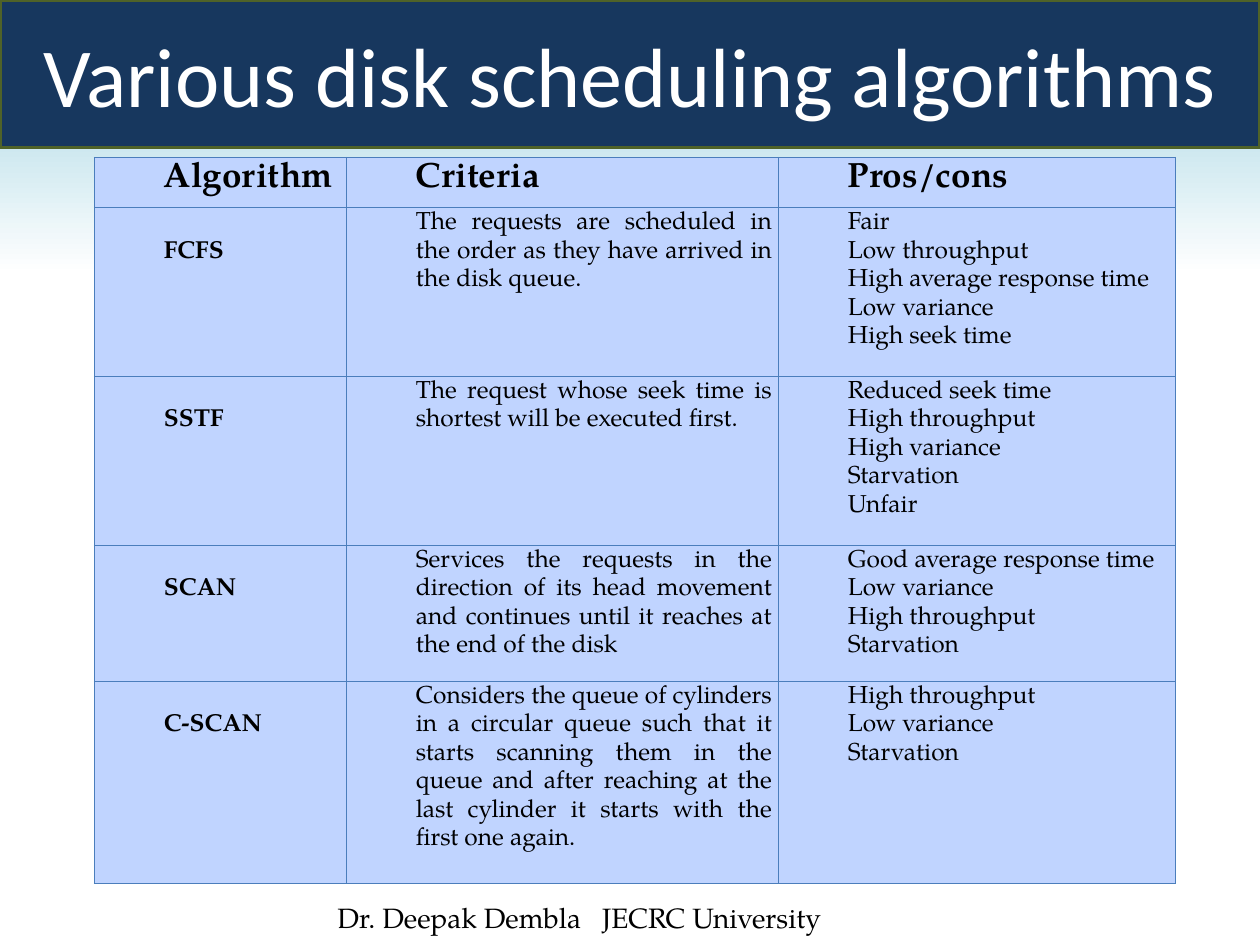
from dataclasses import dataclass

from lxml.etree import SubElement
from pptx import Presentation
from pptx.dml.color import RGBColor as RGB
from pptx.enum.text import MSO_ANCHOR as Anchor, PP_ALIGN as Align
from pptx.oxml import parse_xml
from pptx.oxml.ns import nsdecls, qn
from pptx.util import Inches, Pt


@dataclass(frozen=True)
class Theme:
    navy: RGB = RGB(0x17, 0x37, 0x5E)
    olive: RGB = RGB(0x4F, 0x62, 0x28)
    sky: RGB = RGB(0x93, 0xCD, 0xDD)
    cell: RGB = RGB(0xC0, 0xD4, 0xFF)
    white: RGB = RGB(255, 255, 255)
    black: RGB = RGB(0, 0, 0)
    rule: str = "4B7EBC"
    sans: str = "Calibri"
    serif: str = "TeX Gyre Pagella"
    title: int = 48
    head: int = 20
    body: int = 14
    foot: int = 16


THEME = Theme()
COLS = (2, 3.43, 3.15)
ROWS = (0.4, 1.34, 1.34, 1.08, 1.6)
HEADS = ("Algorithm", "Criteria", "Pros/cons")
DATA = (
    ("FCFS",
     "The requests are scheduled in the order as they have arrived in the disk queue.",
     "Fair\nLow throughput\nHigh average response time\nLow variance\nHigh seek time"),
    ("SSTF",
     "The request whose seek time is shortest will be executed first.",
     "Reduced seek time\nHigh throughput\nHigh variance\nStarvation\nUnfair"),
    ("SCAN",
     "Services the requests in the direction of its head movement and continues "
     "until it reaches at the end of the disk",
     "Good average response time\nLow variance\nHigh throughput\nStarvation"),
    ("C-SCAN",
     "Considers the queue of cylinders in a circular queue such that it starts "
     "scanning them in the queue and after reaching at the last cylinder it starts "
     "with the first one again.",
     "High throughput\nLow variance\nStarvation"),
)


def style(para, size, face, color, bold=False):
    for run in para.runs:
        font = run.font
        font.size, font.name, font.bold = Pt(size), face, bold
        font.color.rgb = color


def paint_back(slide):
    fill = slide.background.fill
    fill.gradient()
    fill.gradient_angle = 270
    stops = zip(fill.gradient_stops, (0, 0.29), (THEME.sky, THEME.white))
    for stop, pos, color in stops:
        stop.position = pos
        stop.color.rgb = color


def add_title(slide, text):
    title = slide.shapes.title
    title.left = title.top = 0
    title.width, title.height = Inches(10), Inches(1.17)
    title.fill.solid()
    title.fill.fore_color.rgb = THEME.navy
    title.line.color.rgb = THEME.olive
    title.line.width = Pt(2)
    frame = title.text_frame
    frame.text = text
    frame.vertical_anchor = Anchor.MIDDLE
    para = frame.paragraphs[0]
    para.alignment = Align.CENTER
    style(para, THEME.title, THEME.sans, THEME.white)


def add_rules(cell):
    """Draw a thin line on all four sides of a cell."""
    props = cell._tc.get_or_add_tcPr()
    for i, side in enumerate("LRTB"):
        props.insert(i, parse_xml(
            f'<a:ln{side} {nsdecls("a")} w="{Pt(0.75)}"><a:solidFill>'
            f'<a:srgbClr val="{THEME.rule}"/></a:solidFill></a:ln{side}>'))


def fill_cell(cell, text, size, bold, top):
    cell.margin_left = cell.margin_right = Inches(0.05)
    cell.margin_top, cell.margin_bottom = Inches(top), 0
    cell.fill.solid()
    cell.fill.fore_color.rgb = THEME.cell
    add_rules(cell)
    cell.text_frame.text = text
    for para in cell.text_frame.paragraphs:
        para._p.get_or_add_pPr().set("marL", str(Inches(0.5)))
        para.alignment = Align.JUSTIFY
        para.line_spacing = 1.15
        style(para, size, THEME.serif, THEME.black, bold)


def add_grid(slide):
    frame = slide.shapes.add_table(
        len(ROWS), len(COLS), Inches(0.75), Inches(1.25),
        Inches(sum(COLS)), Inches(sum(ROWS)))
    table = frame.table
    for col, width in zip(table.columns, COLS):
        col.width = Inches(width)
    for row, height in zip(table.rows, ROWS):
        row.height = Inches(height)
    for r, texts in enumerate((HEADS, *DATA)):
        for c, text in enumerate(texts):
            head, name = r == 0, c == 0
            size = THEME.head if head else THEME.body
            top = 0.23 if name and not head else 0
            fill_cell(table.cell(r, c), text, size, head or name, top)


def add_foot(slide, text):
    box = slide.shapes.add_textbox(
        Inches(2.58), Inches(7.1), Inches(5.92), Inches(0.4))
    frame = box.text_frame
    frame.word_wrap = True
    frame.text = text
    para = frame.paragraphs[0]
    tabs = SubElement(para._p.get_or_add_pPr(), qn("a:tabLst"))
    SubElement(tabs, qn("a:tab"), pos=str(Inches(2.1)), algn="l")
    style(para, THEME.foot, THEME.serif, THEME.black)


def main():
    deck = Presentation()
    deck.slide_width, deck.slide_height = Inches(10), Inches(7.5)
    slide = deck.slides.add_slide(deck.slide_layouts[5])
    paint_back(slide)
    add_title(slide, "Various disk scheduling algorithms")
    add_grid(slide)
    add_foot(slide, "Dr. Deepak Dembla\tJECRC University")
    deck.save("out.pptx")


if __name__ == "__main__":
    main()
